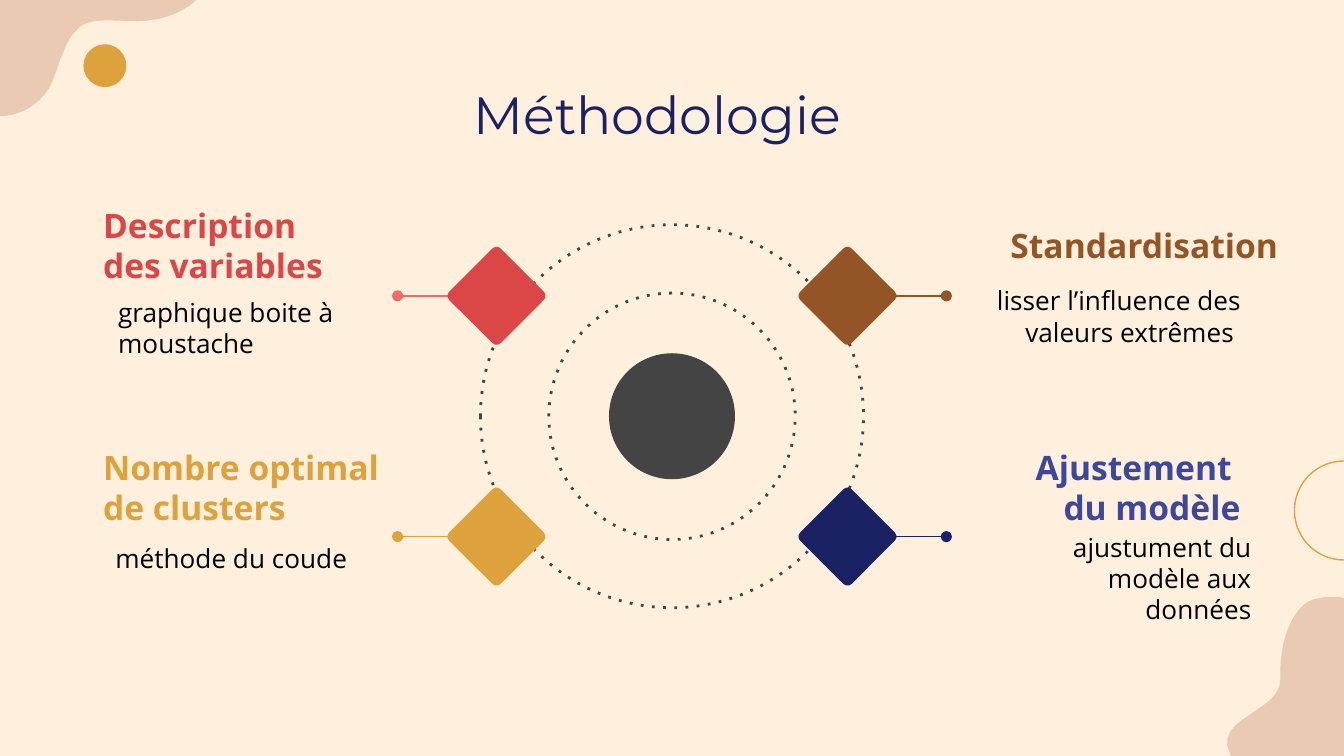
from dataclasses import dataclass

from lxml import etree
from pptx import Presentation
from pptx.dml.color import RGBColor
from pptx.enum.dml import MSO_LINE
from pptx.enum.shapes import MSO_CONNECTOR, MSO_SHAPE
from pptx.enum.text import MSO_ANCHOR, PP_ALIGN
from pptx.oxml.ns import qn
from pptx.util import Pt

OVAL, ROUNDED = MSO_SHAPE.OVAL, MSO_SHAPE.ROUNDED_RECTANGLE
STRAIGHT = MSO_CONNECTOR.STRAIGHT
LEFT, CENTER, RIGHT = PP_ALIGN.LEFT, PP_ALIGN.CENTER, PP_ALIGN.RIGHT
MIDDLE = MSO_ANCHOR.MIDDLE
ROUND_DOT = MSO_LINE.ROUND_DOT


@dataclass(frozen=True)
class Theme:
    cream: str = "FFF0DE"
    blush: str = "EBCAB3"
    gold: str = "DEA23C"
    navy: str = "1A2263"
    indigo: str = "3D489C"
    red: str = "DB4646"
    coral: str = "F76868"
    brown: str = "945526"
    grey: str = "444444"
    black: str = "000000"
    title_font: str = "Montserrat"
    body_font: str = "Open Sans"
    title_size: float = 28
    heading_size: float = 18
    body_size: float = 14


theme = Theme()


def write_text(box, text, font=theme.body_font, size=theme.body_size,
               color=theme.black, bold=False, align=LEFT):
    frame = box.text_frame
    frame.word_wrap = True
    frame.vertical_anchor = MIDDLE
    frame.margin_left = frame.margin_right = Pt(7.2)
    frame.margin_top = frame.margin_bottom = Pt(7.2)
    frame.text = text
    for para in frame.paragraphs:
        para.alignment = align
        for span in para.runs:
            span.font.name = font
            span.font.size = Pt(size)
            span.font.bold = bold
            span.font.color.rgb = RGBColor.from_string(color)


def add_figure(shapes, kind, center_x, center_y, size, fill=None, line=None, weight=0.75):
    figure = shapes.add_shape(kind, Pt(center_x - size / 2), Pt(center_y - size / 2),
                              Pt(size), Pt(size))
    figure.shadow.inherit = False
    if fill:
        figure.fill.solid()
        figure.fill.fore_color.rgb = RGBColor.from_string(fill)
    else:
        figure.fill.background()
    if line:
        figure.line.color.rgb = RGBColor.from_string(line)
        figure.line.width = Pt(weight)
    else:
        figure.line.fill.background()
    return figure


deck = Presentation()
deck.slide_width, deck.slide_height = Pt(720), Pt(405)
page = deck.slides.add_slide(deck.slide_layouts[5])
page.background.fill.solid()
page.background.fill.fore_color.rgb = RGBColor.from_string(theme.cream)
shapes = page.shapes

# Corner blobs: a start point, then cubic curves (two controls and an end)
blobs = [
    ((106, -1), [
        (104, 1, 102, 3, 100, 4), (94, 8, 87, 10, 80, 11),
        (73, 12, 66, 11, 59, 11), (54, 11, 50, 11, 45, 13),
        (40, 16, 36, 22, 34, 28), (31, 34, 30, 40, 27, 46),
        (23, 53, 17, 58, 10, 60.5), (3, 63, -5, 63, -12, 58),
        (-17, 55, -21, 48, -22, 42), (-24, 35, -22, 27, -21, 21),
        (-17, 8, -7, -4, 6, -7), (14, -9, 23, -7, 31, -6),
        (53, -3, 74, -3, 95, -6), (98, -6, 101, -7, 104, -7),
        (105, -8, 107, -9, 107, -7), (108, -5, 107, -2, 106, -1)]),
    ((747, 342), [
        (747, 342, 762, 374, 742, 402), (719, 435, 667, 422, 659, 404),
        (649, 384, 687, 382, 686, 363), (685, 343, 693, 324, 704, 321),
        (732, 313, 747, 342, 747, 342)]),
]
STEPS = 12
for start, curves in blobs:
    x, y = start
    points = []
    for x1, y1, x2, y2, x3, y3 in curves:
        for step in range(1, STEPS + 1):
            t = step / STEPS
            a, b, c, d = (1 - t) ** 3, 3 * t * (1 - t) ** 2, 3 * t * t * (1 - t), t ** 3
            points.append((Pt(a * x + b * x1 + c * x2 + d * x3),
                           Pt(a * y + b * y1 + c * y2 + d * y3)))
        x, y = x3, y3
    builder = shapes.build_freeform(Pt(start[0]), Pt(start[1]))
    builder.add_line_segments(points, close=True)
    blob = builder.convert_to_shape()
    blob.shadow.inherit = False
    blob.fill.solid()
    blob.fill.fore_color.rgb = RGBColor.from_string(theme.blush)
    blob.line.fill.background()

# Accent circles
add_figure(shapes, OVAL, 720, 273.5, 53, line=theme.gold)
add_figure(shapes, OVAL, 56.2, 35.2, 23, fill=theme.gold)

# Title
title = shapes.title
title.left, title.top, title.width, title.height = Pt(48.2), Pt(38.2), Pt(607.7), Pt(45.4)
write_text(title, "Méthodologie", font=theme.title_font, size=theme.title_size,
           color=theme.navy, align=CENTER)

# Dotted rings and hub
HUB_X, HUB_Y = 360, 223
for diameter in (205.2, 132):
    ring = add_figure(shapes, OVAL, HUB_X, HUB_Y, diameter, line=theme.grey, weight=1.5)
    ring.line.dash_style = ROUND_DOT
    ring.element.spPr.find(qn("a:ln")).find(qn("a:prstDash")).set("val", "dot")
add_figure(shapes, OVAL, HUB_X, HUB_Y, 67.5, fill=theme.grey)

# Diamonds with their pointers: side, row, diamond colour, pointer colour
markers = [
    (-1, -1, theme.red, theme.coral),
    (1, -1, theme.brown, theme.brown),
    (-1, 1, theme.gold, theme.gold),
    (1, 1, theme.navy, theme.navy),
]
for side, row, fill, line in markers:
    y = HUB_Y + row * 64.5
    pointer = shapes.add_connector(STRAIGHT, Pt(HUB_X + side * 108), Pt(y),
                                   Pt(HUB_X + side * 147), Pt(y))
    pointer.line.color.rgb = RGBColor.from_string(line)
    pointer.line.width = Pt(0.75)
    outline = pointer.element.spPr.find(qn("a:ln"))
    etree.SubElement(outline, qn("a:tailEnd"), type="oval")
    etree.SubElement(pointer.element.spPr, qn("a:effectLst"))
    diamond = add_figure(shapes, ROUNDED, HUB_X + side * 94, y, 39, fill=fill)
    diamond.adjustments[0] = 0.08
    diamond.rotation = 45

# Headings: left, top, width, alignment, colour, text
headings = [
    (48.2, 117.4, 148.3, LEFT, theme.red, "Description des variables"),
    (48.2, 247, 170.6, LEFT, theme.gold, "Nombre optimal\nde clusters"),
    (523.4, 117.4, 168.5, RIGHT, theme.brown, "Standardisation"),
    (523.4, 247, 148.3, RIGHT, theme.indigo, "Ajustement \ndu modèle"),
]
for left, top, width, align, color, text in headings:
    box = shapes.add_textbox(Pt(left), Pt(top), Pt(width), Pt(28))
    write_text(box, text, size=theme.heading_size, color=color, bold=True, align=align)

# Descriptions: left, top, width, alignment, text
descriptions = [
    (56.2, 145.4, 154.8, LEFT, "graphique boite à moustache"),
    (54.7, 268.6, 154.8, LEFT, "méthode du coude"),
    (517, 139, 154.8, RIGHT, "lisser l’influence des valeurs extrêmes "),
    (529.2, 279.4, 148.3, RIGHT, "ajustument du modèle aux données"),
]
for left, top, width, align, text in descriptions:
    box = shapes.add_textbox(Pt(left), Pt(top), Pt(width), Pt(60.5))
    write_text(box, text, align=align)

deck.save("out.pptx")
